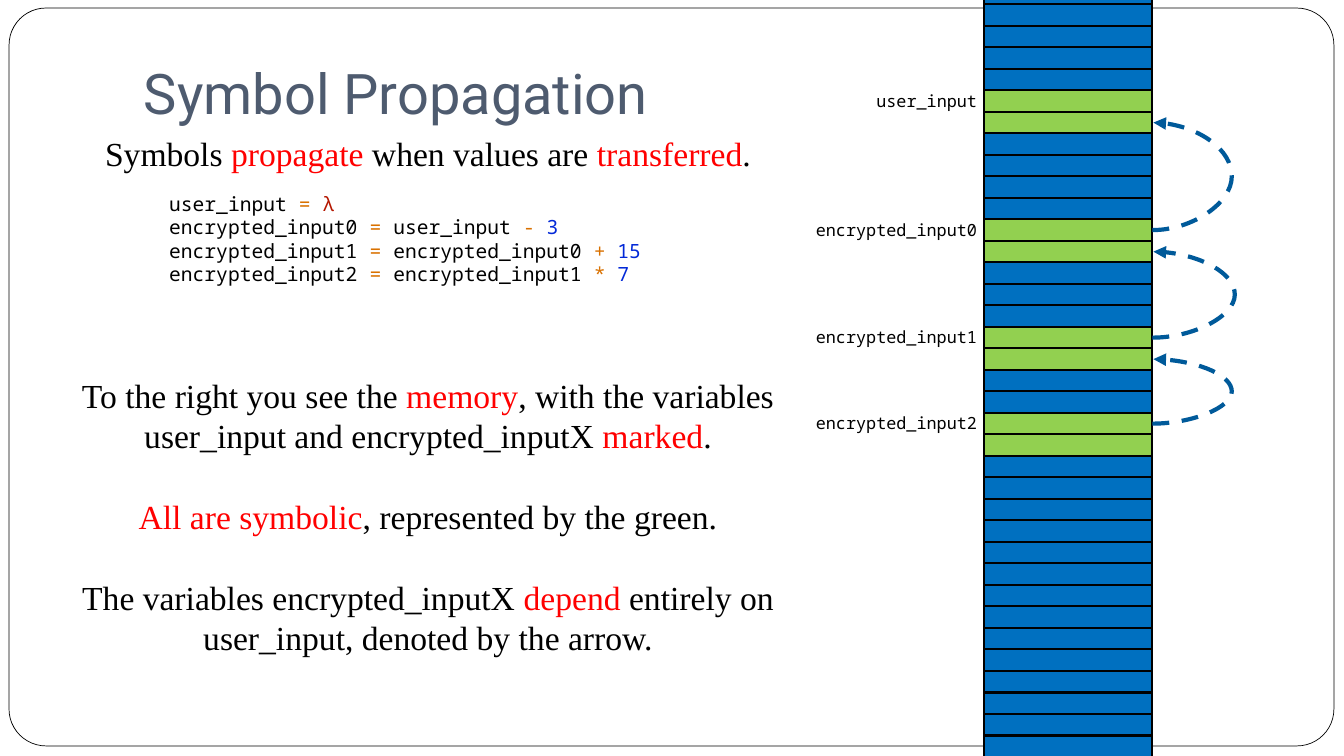
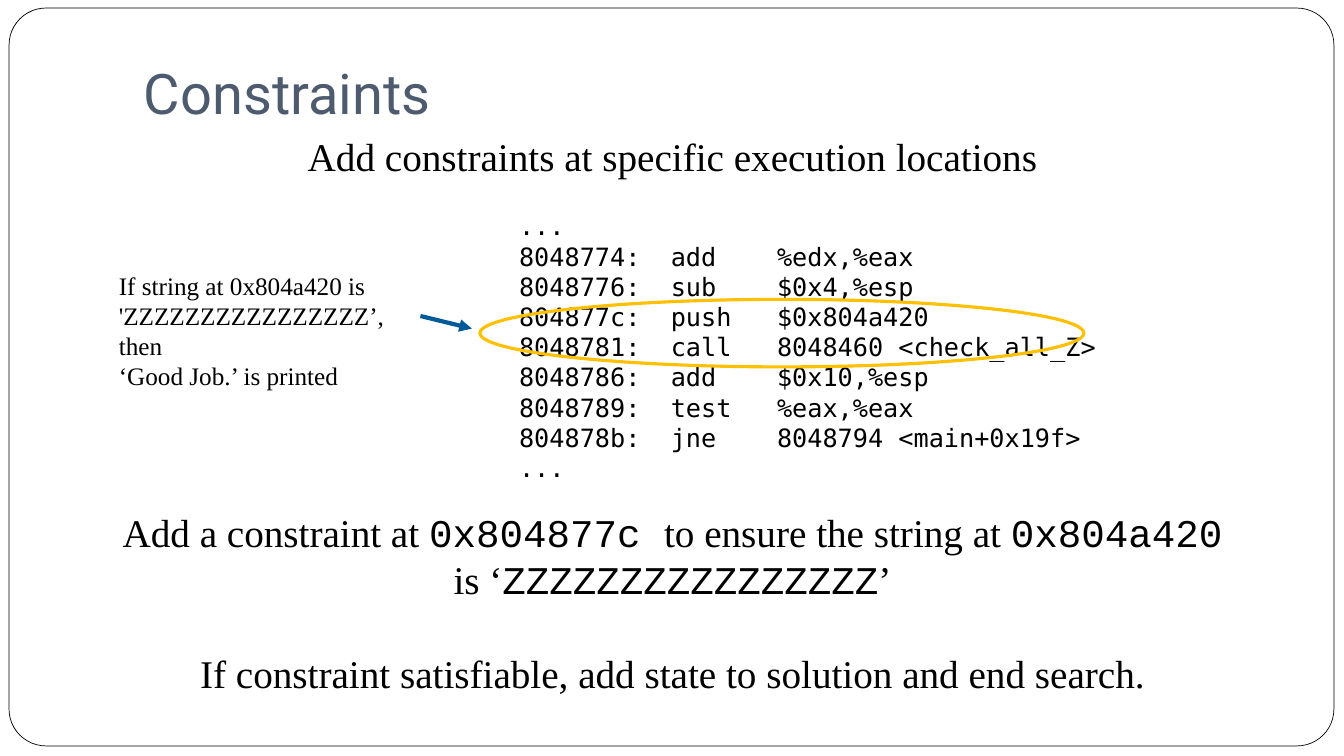
from dataclasses import dataclass

from lxml import etree
from pptx import Presentation
from pptx import util as u
from pptx.dml.color import RGBColor
from pptx.enum import dml, shapes, text
from pptx.oxml.ns import qn


@dataclass(frozen=True)
class Theme:
    # Colours
    paper: str = "FFFFFF"
    ink: str = "000000"
    title: str = "4E5B6F"
    key: str = "FF0000"
    operator: str = "D97100"
    symbol: str = "B51700"
    number: str = "0329D8"
    memory: str = "0070C0"
    symbolic: str = "92D050"
    arrow: str = "005A9A"
    ring: str = "FFC000"
    # Fonts
    heading: str = "Roboto"
    serif: str = "Times New Roman"
    mono: str = "Noto Sans Mono"
    listing: str = "DejaVu Sans Mono"
    typewriter: str = "Courier New"
    # Type sizes in points
    title_size: int = 40
    large: int = 28
    body: int = 24
    small: int = 18
    code: int = 14
    label: int = 12
    leading: float = 1.2


THEME = Theme()
SLIDE_W, SLIDE_H = 13.33, 7.5


def rgb(value):
    return RGBColor.from_string(value)


# ---------- shared building blocks ----------

def add_text(slide, box, paragraphs, size, font=THEME.serif, color=THEME.ink,
             align=text.PP_ALIGN.LEFT, gaps=(), frame_format=None):
    """Each paragraph is a string or a list of strings and (string, overrides).

    gaps gives the number of empty lines above each paragraph.
    """
    area = slide.shapes.add_textbox(*map(u.Inches, box))
    frame_values = {"word_wrap": True, "auto_size": text.MSO_AUTO_SIZE.NONE}
    for name, value in (frame_values | (frame_format or {})).items():
        setattr(area.text_frame, name, value)
    line_height = size * THEME.leading
    for i, runs in enumerate(paragraphs):
        frame = area.text_frame
        paragraph = frame.paragraphs[0] if i == 0 else frame.add_paragraph()
        paragraph.alignment = align
        paragraph.line_spacing = u.Pt(line_height)
        if i < len(gaps) and gaps[i]:
            paragraph.space_before = u.Pt(gaps[i] * line_height)
        for part in [runs] if isinstance(runs, str) else runs:
            words, overrides = (part, {}) if isinstance(part, str) else part
            run = paragraph.add_run()
            run.text = words
            run.font.color.rgb = rgb(overrides.get("color", color))
            font_values = {"name": overrides.get("font", font), "size": u.Pt(size)}
            for name, value in font_values.items():
                setattr(run.font, name, value)
    return area


def add_outline(slide, kind, box, line, weight, fill=None):
    shape = slide.shapes.add_shape(kind, *map(u.Inches, box))
    shape.shadow.inherit = False
    if fill:
        shape.fill.solid()
        shape.fill.fore_color.rgb = rgb(fill)
    else:
        shape.fill.background()
    shape.line.color.rgb = rgb(line)
    shape.line.width = u.Pt(weight)
    return shape


def add_arrow(slide, kind, start, end, dash=None):
    arrow = slide.shapes.add_connector(kind, *map(u.Inches, (*start, *end)))
    arrow.line.color.rgb = rgb(THEME.arrow)
    arrow.line.width = u.Pt(3)
    if dash:
        arrow.line.dash_style = dash
    etree.SubElement(arrow.line._get_or_add_ln(), qn("a:tailEnd"), type="triangle")
    etree.SubElement(arrow._element.spPr, qn("a:effectLst"))
    return arrow


def new_slide(deck, title):
    slide = deck.slides.add_slide(deck.slide_layouts[6])
    # Rounded page frame
    page = add_outline(slide, shapes.MSO_SHAPE.ROUNDED_RECTANGLE,
                       (0.09, 0.08, 13.14, 7.32), THEME.ink, 0.5, THEME.paper)
    page.adjustments[0] = 0.05
    # Title
    add_text(slide, (1.33, 0.13, 11.33, 1.22), [title], THEME.title_size,
             THEME.heading, THEME.title,
             frame_format={"vertical_anchor": text.MSO_ANCHOR.BOTTOM,
                           "margin_bottom": u.Inches(0.1)})
    return slide


def key(words):
    return words, {"color": THEME.key}


def op(words):
    return words, {"color": THEME.operator}


def number(words):
    return words, {"color": THEME.number}


def typed(words):
    return words, {"font": THEME.typewriter}


# ---------- memory column ----------

def add_memory(slide, box, cell_count, variables, transfers):
    left, top, width, height = box
    pitch = height / cell_count
    right = left + width

    def middle(cell):
        return top + (cell + 0.5) * pitch

    # Cells; every variable fills two
    marked = {cell + k for cell in variables.values() for k in (0, 1)}
    for cell in range(cell_count):
        fill = THEME.symbolic if cell in marked else THEME.memory
        add_outline(slide, shapes.MSO_SHAPE.RECTANGLE,
                    (left, top + cell * pitch, width, pitch), THEME.ink, 1.5, fill)

    # Variable names
    for name, cell in variables.items():
        add_text(slide, (left - 1.97, top + cell * pitch - 0.05, 2, 0.3), [name],
                 THEME.label, THEME.mono, align=text.PP_ALIGN.RIGHT)

    # Arrows from each variable back to the one it depends on
    reach = 0.01
    for source, target, bulge in transfers:
        arrow = add_arrow(slide, shapes.MSO_CONNECTOR.CURVE,
                          (right, middle(variables[source])),
                          (right + reach, middle(variables[target] + 1)),
                          dml.MSO_LINE.DASH)
        guides = arrow._element.spPr.find(qn("a:prstGeom")).get_or_add_avLst()
        etree.SubElement(guides, qn("a:gd"), name="adj1",
                         fmla=f"val {round(bulge / reach * 100000)}")


# ---------- slides ----------

def propagation_slide(deck):
    slide = new_slide(deck, "Symbol Propagation")
    center = text.PP_ALIGN.CENTER

    # Lead sentence
    add_text(slide, (0.36, 1.27, 7.77, 0.5),
             [["Symbols ", key("propagate"), " when values are ",
               key("transferred"), "."]], THEME.body, align=center)

    # Assignments
    assignments = [
        ["user_input ", op("= "), ("λ", {"color": THEME.symbol})],
        ["encrypted_input0 ", op("= "), "user_input ", op("- "), number("3")],
        ["encrypted_input1 ", op("="), " encrypted_input0 ", op("+ "), number("15")],
        ["encrypted_input2 ", op("="), " encrypted_input1 ", op("* "), number("7")],
    ]
    add_text(slide, (1.58, 1.85, 5.34, 1.28), assignments, THEME.code, THEME.mono)

    # Explanation
    explanation = [
        ["To the right you see the ", key("memory"),
         ", with the variables user_input and encrypted_inputX ", key("marked"), "."],
        [key("All are symbolic"), ", represented by the green."],
        ["The variables encrypted_inputX ", key("depend"),
         " entirely on user_input, denoted by the arrow."],
    ]
    add_text(slide, (0.36, 3.67, 7.77, 3), explanation, THEME.body,
             align=center, gaps=(0, 1, 1))

    # Memory
    first_cells = {"user_input": 5, "encrypted_input0": 11,
                   "encrypted_input1": 16, "encrypted_input2": 20}
    add_memory(slide, (9.76, -0.17, 1.67, 7.68), 36, first_cells,
               [("encrypted_input2", "encrypted_input1", 0.8),
                ("encrypted_input1", "encrypted_input0", 0.83),
                ("encrypted_input0", "user_input", 0.8)])


def constraints_slide(deck):
    slide = new_slide(deck, "Constraints")
    center = text.PP_ALIGN.CENTER

    # Lead sentence
    add_text(slide, (0.92, 1.26, 11.5, 0.6),
             ["Add constraints at specific execution locations"],
             THEME.large, align=center)

    # Disassembly
    disassembly = [
        "...",
        "8048774:  add    %edx,%eax",
        "8048776:  sub    $0x4,%esp",
        "804877c:  push   $0x804a420",
        "8048781:  call   8048460 <check_all_Z>",
        "8048786:  add    $0x10,%esp",
        "8048789:  test   %eax,%eax",
        "804878b:  jne    8048794 <main+0x19f>",
        "...",
    ]
    add_text(slide, (5.05, 2.04, 6.67, 2.83), disassembly, THEME.small, THEME.listing)

    # Condition, with its arrow to the ringed call
    condition = add_text(slide, (1.08, 2.63, 3.09, 1.01),
                         ["If string at 0x804a420 is",
                          "'ZZZZZZZZZZZZZZZZ’, then",
                          "‘Good Job.’ is printed"], THEME.small)
    pointer = add_arrow(slide, shapes.MSO_CONNECTOR.STRAIGHT, (4.17, 3.14), (4.68, 3.26))
    pointer.begin_connect(condition, 3)
    add_outline(slide, shapes.MSO_SHAPE.OVAL, (4.76, 2.97, 5.99, 0.67), THEME.ring, 2.25)

    # Conclusion
    conclusion = [
        ["Add a constraint at ", typed("0x804877c "),
         "to ensure the string at ", typed("0x804a420")],
        ["is ‘", typed("ZZZZZZZZZZZZZZZZ"), "’"],
        "If constraint satisfiable, add state to solution and end search.",
    ]
    add_text(slide, (0.92, 4.99, 11.5, 2.2), conclusion, THEME.large,
             align=center, gaps=(0, 0, 1))


def main():
    deck = Presentation()
    deck.slide_width = u.Inches(SLIDE_W)
    deck.slide_height = u.Inches(SLIDE_H)
    propagation_slide(deck)
    constraints_slide(deck)
    deck.save("out.pptx")


if __name__ == "__main__":
    main()
